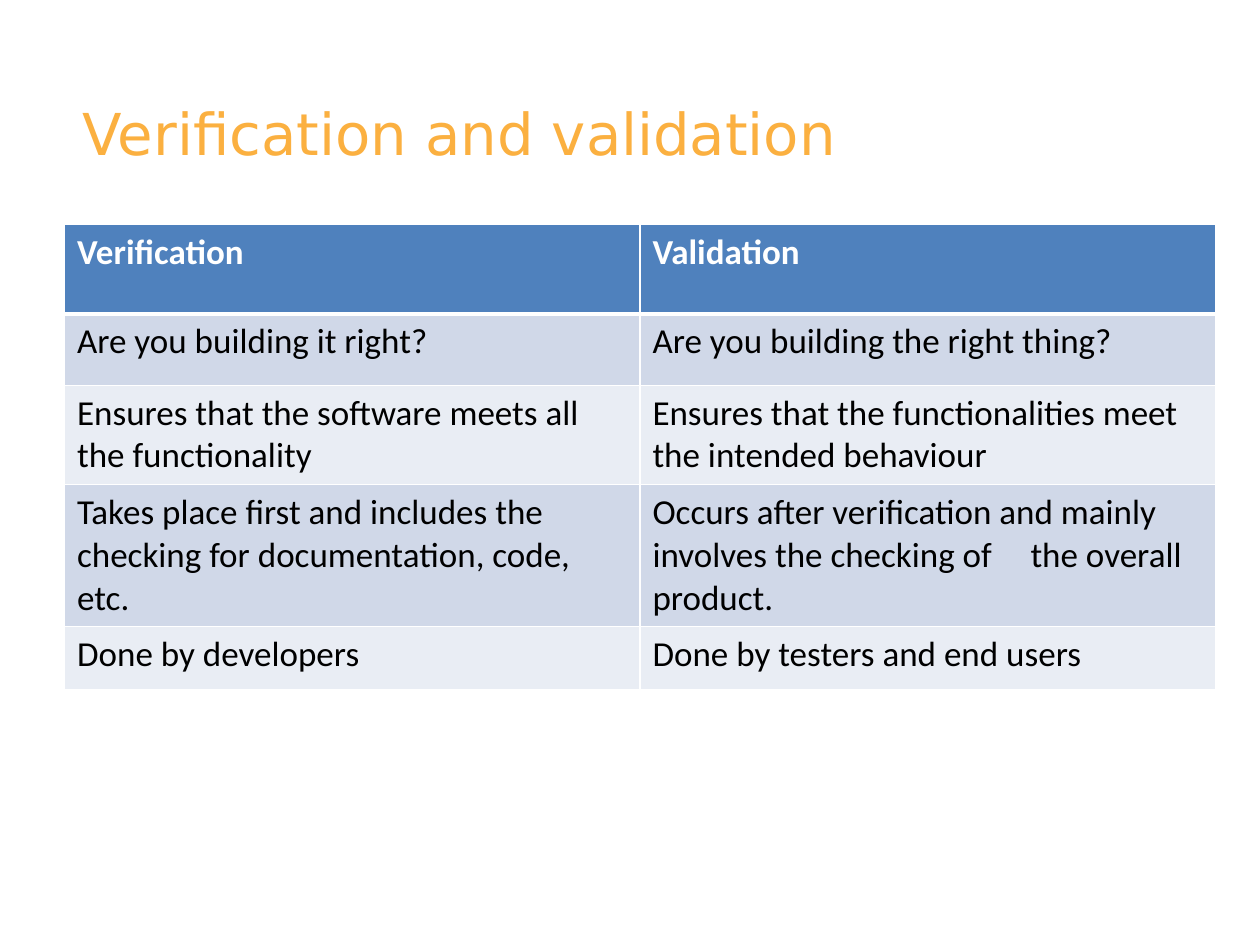
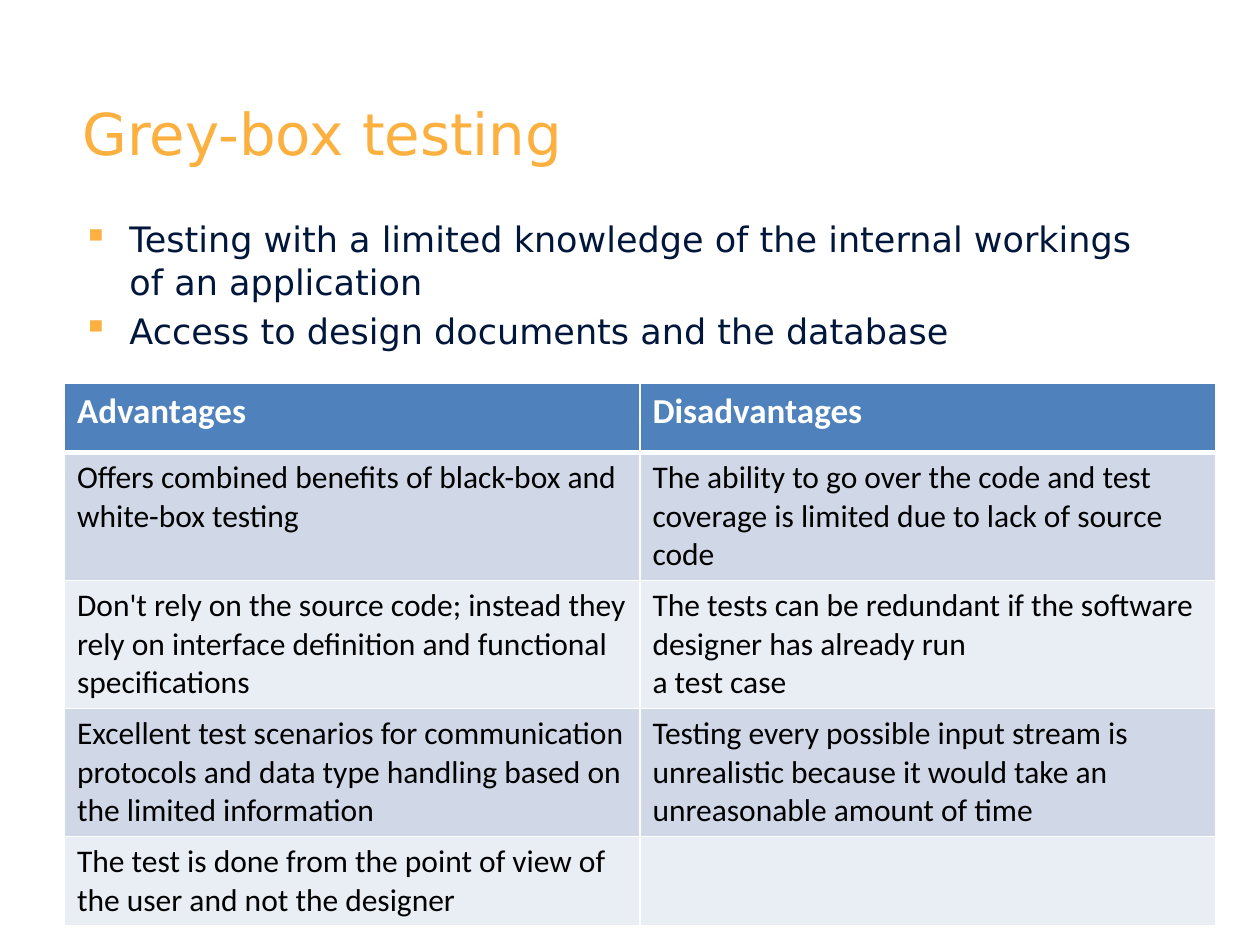
from lxml import etree
from pptx import Presentation, util as u
from pptx.dml.color import RGBColor
from pptx.oxml import ns

ORANGE = RGBColor(0xFB, 0xB0, 0x40)
NAVY = RGBColor(0x00, 0x16, 0x3B)
BLUE = RGBColor(0x4F, 0x81, 0xBD)
BANDS = RGBColor(0xD0, 0xD8, 0xE8), RGBColor(0xE9, 0xED, 0xF4)
WHITE = RGBColor(0xFF, 0xFF, 0xFF)
BLACK = RGBColor(0x00, 0x00, 0x00)
HEADING_FONT = "DejaVu Sans"
TABLE_FONT = "Calibri"
LEFT, WIDTH = u.Cm(1.42), u.Cm(22.45)
HANGING = u.Cm(0.94)

VERIFICATION_ROWS = [
    ("Verification", "Validation"),
    ("Are you building it right?", "Are you building the right thing?"),
    ("Ensures that the software meets all the functionality",
     "Ensures that the functionalities meet the intended behaviour"),
    ("Takes place first and includes the checking for documentation, code, etc.",
     "Occurs after verification and mainly involves the checking of \tthe overall product."),
    ("Done by developers", "Done by testers and end users"),
]
GREY_BOX_POINTS = [
    "Testing with a limited knowledge of the internal workings of an application",
    "Access to design documents and the database",
]
GREY_BOX_ROWS = [
    ("Advantages", "Disadvantages"),
    ("Offers combined benefits of black-box and white-box testing",
     "The ability to go over the code and test coverage is limited due to lack of source code"),
    ("Don't rely on the source code; instead they rely on interface definition "
     "and functional specifications",
     "The tests can be redundant if the software designer has already run\na test case"),
    ("Excellent test scenarios for communication protocols and data type handling "
     "based on the limited information",
     "Testing every possible input stream is unrealistic because it would take "
     "an unreasonable amount of time"),
    ("The test is done from the point of view of the user and not the designer", ""),
]


def add_run(paragraph, words, size, font, color, bold=False):
    run = paragraph.add_run()
    run.text = words
    run.font.size = u.Pt(size)
    run.font.name = font
    run.font.color.rgb = color
    run.font.bold = bold


def add_paragraphs(frame, lines):
    for index, line in enumerate(lines):
        yield index, line, frame.add_paragraph() if index else frame.paragraphs[0]


def add_text_area(slide, top, height):
    frame = slide.shapes.add_textbox(LEFT, top, WIDTH, height).text_frame
    frame.word_wrap = True
    return frame


def add_title(slide, title, height):
    frame = add_text_area(slide, u.Cm(1.85), height)
    add_run(frame.paragraphs[0], title, 33, HEADING_FONT, ORANGE)


def set_bullet(paragraph):
    properties = paragraph._p.get_or_add_pPr()
    properties.set("marL", str(HANGING))
    properties.set("indent", str(-HANGING))
    bullet_color = etree.SubElement(properties, ns.qn("a:buClr"))
    etree.SubElement(bullet_color, ns.qn("a:srgbClr"), val=str(ORANGE))
    etree.SubElement(properties, ns.qn("a:buChar"), char="▪")


def add_bullets(slide, points):
    frame = add_text_area(slide, u.Cm(4.27), u.Cm(13.67))
    for index, point, paragraph in add_paragraphs(frame, points):
        if index:
            paragraph.space_before = u.Pt(4)
        set_bullet(paragraph)
        add_run(paragraph, point, 20, HEADING_FONT, NAVY)


def set_borders(cell, row):
    widths = {"L": 1, "R": 1, "T": 3 if row == 1 else 1, "B": 3 if row == 0 else 1}
    properties = cell._tc.get_or_add_tcPr()
    for side, width in widths.items():
        line = etree.SubElement(properties, ns.qn(f"a:ln{side}"), w=str(u.Pt(width)))
        fill = etree.SubElement(line, ns.qn("a:solidFill"))
        etree.SubElement(fill, ns.qn("a:srgbClr"), val=str(WHITE))


def fill_cell(cell, row, words, body_size):
    header = row == 0
    set_borders(cell, row)
    cell.fill.solid()
    cell.fill.fore_color.rgb = BLUE if header else BANDS[(row - 1) % 2]
    if not words:
        return
    for _, line, paragraph in add_paragraphs(cell.text_frame, words.split("\n")):
        add_run(paragraph, line, 20 if header else body_size, TABLE_FONT,
                WHITE if header else BLACK, bold=header)


def add_comparison(slide, top, rows, heights, body_size):
    table = slide.shapes.add_table(len(rows), 2, u.Cm(1.3), top,
                                   u.Cm(23.2), u.Cm(sum(heights))).table
    table.first_row = table.horz_banding = False
    for row, (pair, height) in enumerate(zip(rows, heights)):
        table.rows[row].height = u.Cm(height)
        for column, words in enumerate(pair):
            fill_cell(table.cell(row, column), row, words, body_size)


def main():
    deck = Presentation()
    deck.slide_width, deck.slide_height = u.Cm(25.4), u.Cm(19.05)
    blank = deck.slide_layouts[6]

    verification = deck.slides.add_slide(blank)
    add_title(verification, "Verification and validation", u.Cm(3.18))
    add_comparison(verification, u.Cm(4.53), VERIFICATION_ROWS,
                   [1.8, 1.44, 2, 2.86, 1.27], 20)

    grey_box = deck.slides.add_slide(blank)
    add_title(grey_box, "Grey-box testing", u.Cm(2.06))
    add_bullets(grey_box, GREY_BOX_POINTS)
    add_comparison(grey_box, u.Cm(7.73), GREY_BOX_ROWS,
                   [1.39, 2.58, 2.58, 2.58, 1.8], 18)

    deck.save("out.pptx")


if __name__ == "__main__":
    main()
